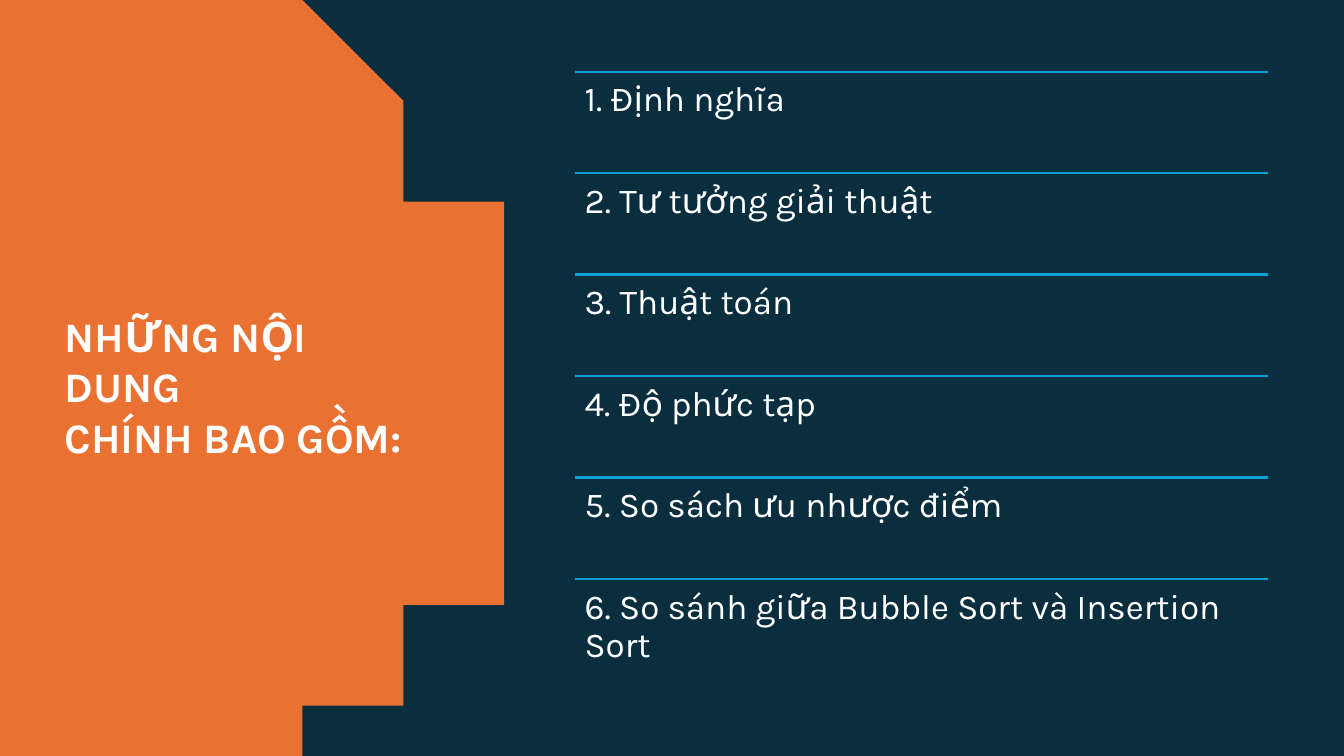
import math

import pptx
import pptx.dml.color
import pptx.enum.shapes
import pptx.enum.text
import pptx.util
from lxml import etree

Inches, Pt = pptx.util.Inches, pptx.util.Pt
WIDTH, HEIGHT = 13.33, 7.5
NAVY, ORANGE, BLUE, WHITE = "0A2E3E", "E97132", "0F9ED5", "FFFFFF"


def rgb(color):
    return pptx.dml.color.RGBColor.from_string(color)


def write(tf, lines, size, bold=False, wrap=True, spacing=1.0, margins=(0.1, 0.05)):
    """Fill a text frame with left-aligned Karla paragraphs, anchored at the top."""
    tf.word_wrap = wrap
    tf.auto_size = pptx.enum.text.MSO_AUTO_SIZE.NONE
    tf.vertical_anchor = pptx.enum.text.MSO_ANCHOR.TOP
    tf.margin_left = tf.margin_right = Inches(margins[0])
    tf.margin_top = tf.margin_bottom = Inches(margins[1])
    for i, line in enumerate(lines):
        p = tf.paragraphs[0] if i == 0 else tf.add_paragraph()
        p.alignment = pptx.enum.text.PP_ALIGN.LEFT
        p.line_spacing = spacing
        r = p.add_run()
        r.text = line
        r.font.name = "Karla"
        r.font.size = Pt(size)
        r.font.bold = bold
        r.font.color.rgb = rgb(WHITE)


prs = pptx.Presentation()
prs.slide_width, prs.slide_height = Inches(WIDTH), Inches(HEIGHT)
s = prs.slides.add_slide(prs.slide_layouts.get_by_name("Title Only"))
s.background.fill.solid()
s.background.fill.fore_color.rgb = rgb(NAVY)

# Orange panel: the left edge of the slide closed by a circular arc
radius, center_x, center_y = 4.4, 0.53, HEIGHT / 2
half_angle = math.asin(center_y / radius)
steps = 120
arc = []
for i in range(steps + 1):
    angle = half_angle * (2 * i / steps - 1)
    arc.append((center_x + radius * math.cos(angle), center_y + radius * math.sin(angle)))
builder = s.shapes.build_freeform(0, 0, scale=Inches(1))
builder.add_line_segments(arc + [(0, HEIGHT)], close=True)
panel = builder.convert_to_shape()
panel.shadow.inherit = False
panel.fill.solid()
panel.fill.fore_color.rgb = rgb(ORANGE)
panel.line.fill.background()

# Contents: equal rows, each under a rule
topics = [
    "1. Định nghĩa",
    "2. Tư tưởng giải thuật",
    "3. Thuật toán",
    "4. Độ phức tạp",
    "5. So sách ưu nhược điểm",
    "6. So sánh giữa Bubble Sort và Insertion Sort",
]
list_left, list_top, list_width, list_height = 5.7, 0.71, 6.88, 6.04
row_height = list_height / len(topics)
for row, topic in enumerate(topics):
    top = list_top + row * row_height
    rule = s.shapes.add_connector(
        pptx.enum.shapes.MSO_CONNECTOR.STRAIGHT,
        Inches(list_left), Inches(top), Inches(list_left + list_width), Inches(top))
    rule.line.color.rgb = rgb(BLUE)
    rule.line.width = Pt(1.5)
    etree.SubElement(rule.element.spPr, pptx.oxml.ns.qn("a:effectLst"))
    sp = s.shapes.add_textbox(
        Inches(list_left), Inches(top), Inches(list_width), Inches(row_height))
    write(sp.text_frame, [topic], 25, spacing=0.9, margins=(0.1, 0.1))

# Title, brought in front of the panel
title = s.shapes.title
title.left, title.top = Inches(0.54), Inches(3.03)
title.width, title.height = Inches(3.86), Inches(1.11)
write(title.text_frame, ["NHỮNG NỘI DUNG", "CHÍNH BAO GỒM:"], 30, bold=True, wrap=False)
title.element.getparent().append(title.element)

prs.save("out.pptx")
